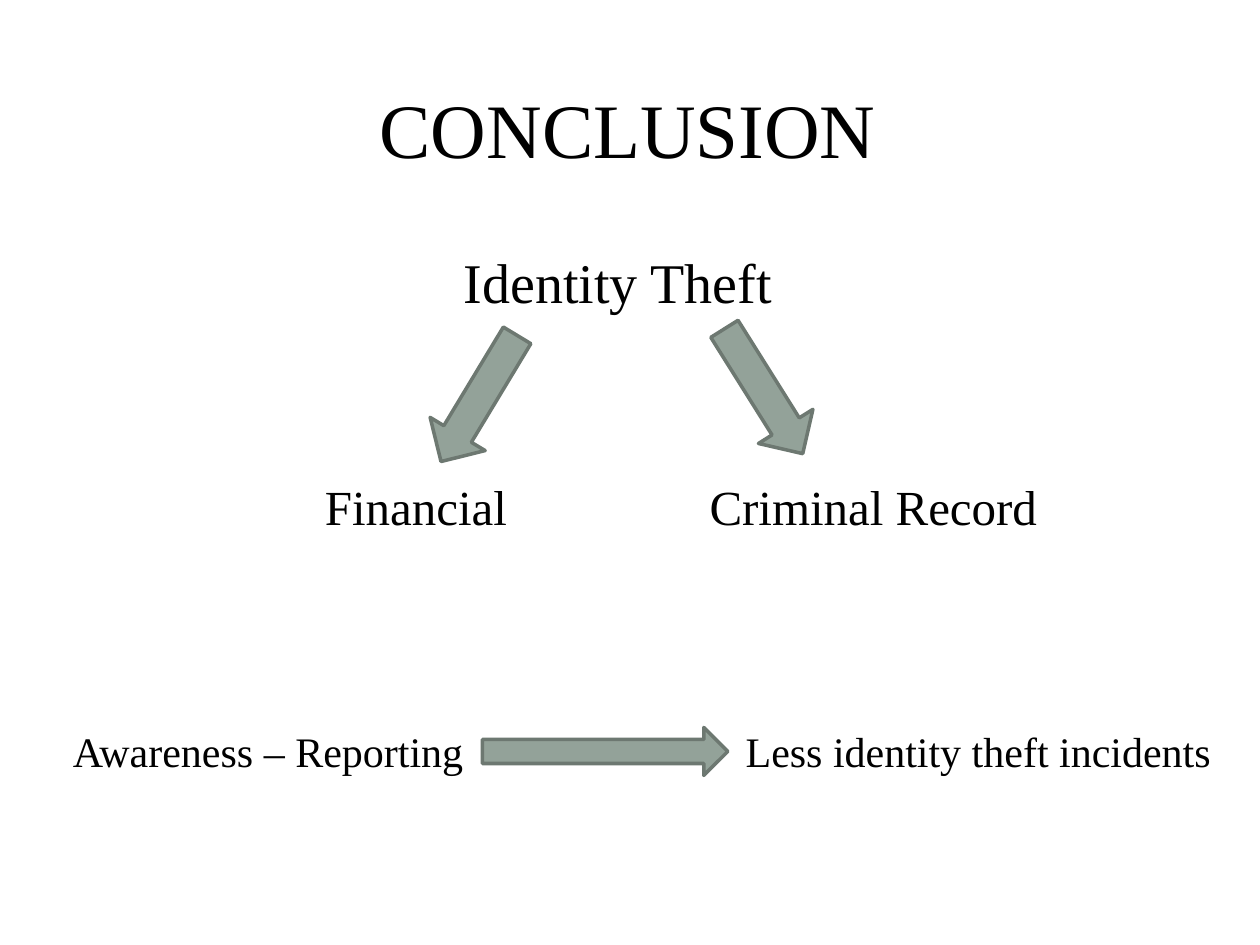
"""Build the conclusion slide on identity theft."""
from lxml import etree
from pptx import Presentation
from pptx.dml.color import RGBColor
from pptx.enum.shapes import MSO_SHAPE
from pptx.enum.text import MSO_ANCHOR, PP_ALIGN
from pptx.oxml.ns import qn
from pptx.util import Pt

DOWN_ARROW = MSO_SHAPE.DOWN_ARROW
RECTANGLE, ROUNDED = MSO_SHAPE.RECTANGLE, MSO_SHAPE.ROUNDED_RECTANGLE
MIDDLE, TOP = MSO_ANCHOR.MIDDLE, MSO_ANCHOR.TOP
CENTER, LEFT = PP_ALIGN.CENTER, PP_ALIGN.LEFT

WHITE = RGBColor(0xFF, 0xFF, 0xFF)
BLACK = RGBColor(0x00, 0x00, 0x00)
SAGE = RGBColor(0x93, 0xA2, 0x99)
DARK_SAGE = RGBColor(0x6D, 0x78, 0x71)
FONT = "Times New Roman"
TITLE_LAYOUT = 5

# text, left, top, width, height, size
LABELS = [
    ("Identity Theft", 257.8, 137.9, 192.2, 46, 32),
    ("Financial", 178.6, 269, 145.4, 41, 28),
    ("Criminal Record", 398.4, 269, 225.4, 41, 28),
    ("Awareness – Reporting", 34.6, 411.1, 288, 36, 24),
    ("Less identity theft incidents", 419, 411.1, 291.6, 36, 24),
]
# left, top, width, height, rotation
ARROWS = [
    (418, 181.5, 36.7, 84.2, 327.9),
    (332.1, 359.3, 27.4, 140.2, 270),
    (255.4, 185.6, 36.7, 84.2, 31.1),
]


def write_text(shape, text, size, align=LEFT, anchor=TOP, color=BLACK):
    """Fill a shape with one formatted paragraph."""
    frame = shape.text_frame
    frame.word_wrap = True
    frame.vertical_anchor = anchor
    paragraph = frame.paragraphs[0]
    paragraph.alignment = align
    run = paragraph.add_run()
    run.text = text
    run.font.name = FONT
    run.font.size = Pt(size)
    run.font.color.rgb = color


def add_filled_shape(slide, kind, left, top, width, height, color):
    """Add a preset shape with a plain fill and no shadow."""
    shape = slide.shapes.add_shape(
        kind, Pt(left), Pt(top), Pt(width), Pt(height))
    shape.shadow.inherit = False
    shape.fill.solid()
    shape.fill.fore_color.rgb = color
    return shape


def add_panel(slide, kind, left, top, width, height):
    """Add a white panel without an outline."""
    panel = add_filled_shape(slide, kind, left, top, width, height, WHITE)
    panel.line.fill.background()
    return panel


def add_backdrop(slide):
    """Add the page panel and the two panels of the title band."""
    page = add_panel(slide, ROUNDED, 7.2, 7.9, 705.6, 524.9)
    page.adjustments[0] = 0.017
    band = add_panel(slide, RECTANGLE, 21.6, 21.6, 676.8, 104.4)
    color = band.element.spPr.find(qn("a:solidFill"))[0]
    etree.SubElement(color, qn("a:alpha"), val="83000")
    add_panel(slide, RECTANGLE, 29.5, 29.5, 660.2, 87.8)


def add_title(slide, text):
    """Place and fill the title placeholder in front of the backdrop."""
    title = slide.shapes.title
    title.left, title.top = Pt(33.8), Pt(32)
    title.width, title.height = Pt(650.2), Pt(82)
    write_text(title, text, 44, align=CENTER, anchor=MIDDLE)
    title.element.getparent().append(title.element)


def add_label(slide, text, left, top, width, height, size):
    """Add a left-aligned text box."""
    box = slide.shapes.add_textbox(Pt(left), Pt(top), Pt(width), Pt(height))
    write_text(box, text, size)


def add_arrow(slide, left, top, width, height, rotation):
    """Add a rotated block arrow."""
    arrow = add_filled_shape(
        slide, DOWN_ARROW, left, top, width, height, SAGE)
    arrow.rotation = rotation
    arrow.line.color.rgb = DARK_SAGE
    arrow.line.width = Pt(2)


def main():
    """Create and save the presentation."""
    presentation = Presentation()
    presentation.slide_width, presentation.slide_height = Pt(720), Pt(540)
    slide = presentation.slides.add_slide(
        presentation.slide_layouts[TITLE_LAYOUT])
    slide.background.fill.solid()
    slide.background.fill.fore_color.rgb = WHITE
    add_backdrop(slide)
    add_title(slide, "CONCLUSION")
    for label in LABELS:
        add_label(slide, *label)
    for arrow in ARROWS:
        add_arrow(slide, *arrow)
    presentation.save("out.pptx")


if __name__ == "__main__":
    main()
